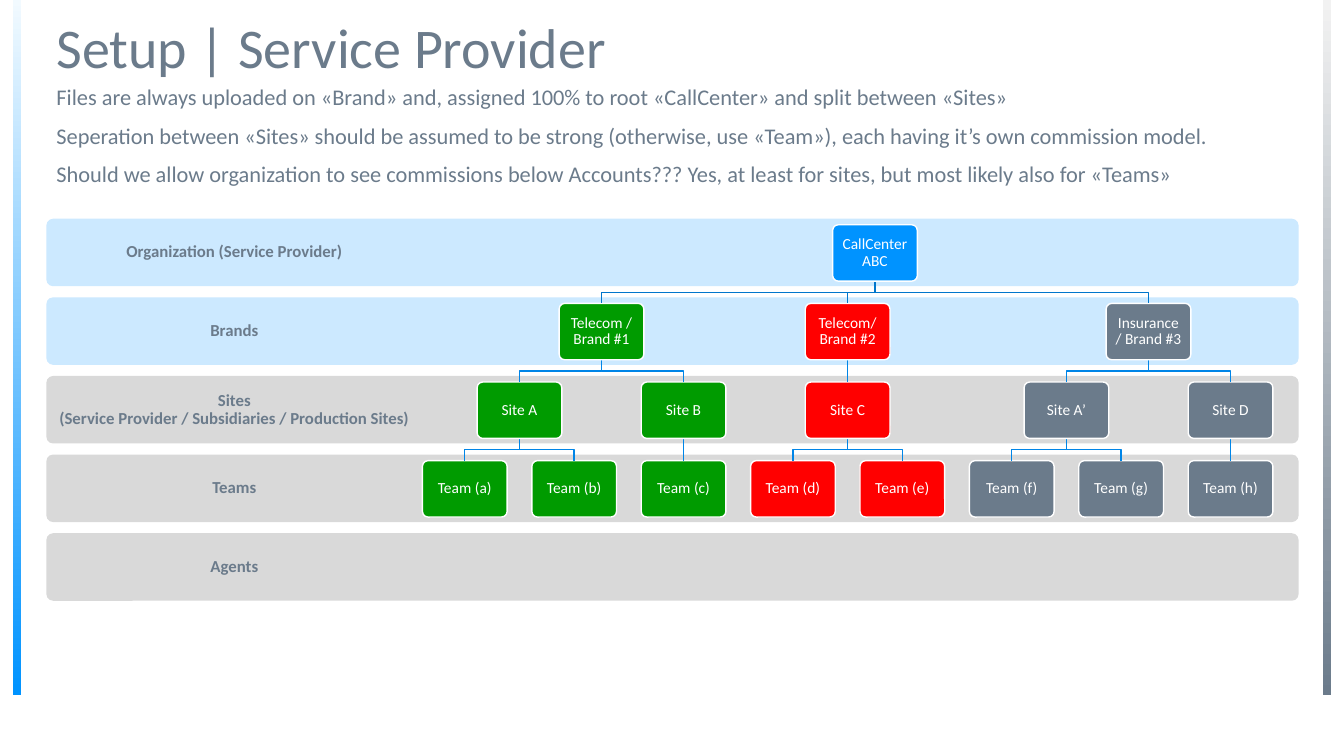
from dataclasses import dataclass

from pptx import Presentation
from pptx.dml.color import RGBColor
from pptx.enum.shapes import MSO_CONNECTOR, MSO_SHAPE
from pptx.enum.text import MSO_ANCHOR, MSO_AUTO_SIZE, PP_ALIGN
from pptx.oxml.ns import qn
from pptx.util import Inches, Pt

RECT = MSO_SHAPE.RECTANGLE
ROUNDED = MSO_SHAPE.ROUNDED_RECTANGLE
STRAIGHT = MSO_CONNECTOR.STRAIGHT
TOP, MIDDLE = MSO_ANCHOR.TOP, MSO_ANCHOR.MIDDLE
LEFT, CENTER = PP_ALIGN.LEFT, PP_ALIGN.CENTER


@dataclass(frozen=True)
class Theme:
    font: str = "Calibri"
    slate: str = "6B7B8B"
    white: str = "FFFFFF"
    blue: str = "0093FF"
    pale_blue: str = "F2FAFF"
    pale_gray: str = "F2F2F2"
    band_blue: str = "CCE9FF"
    band_gray: str = "D9D9D9"
    green: str = "009B00"
    red: str = "FF0000"
    root_link: str = "0076CC"
    link: str = "0085E7"
    title_size: int = 40
    body_size: int = 16
    band_size: int = 12
    node_size: int = 11


THEME = Theme()

# Layout in inches
MARGIN, CONTENT_W = 0.46, 12.42
BAND_TOP, BAND_H, ROW_PITCH = 2.17, 0.67, 0.78
LABEL_W = 3.73
NODE_W, NODE_H, NODE_INSET = 0.84, 0.56, 0.06
FIRST_TEAM_X, TEAM_PITCH = 4.61, 1.085

TITLE = "Setup | Service Provider"
NOTES = [
    "Files are always uploaded on «Brand» and, assigned 100% to root «CallCenter» and split between «Sites»",
    "Seperation between «Sites» should be assumed to be strong (otherwise, use «Team»), "
    "each having it’s own commission model.",
    "Should we allow organization to see commissions below Accounts??? "
    "Yes, at least for sites, but most likely also for «Teams»",
]
BANDS = [
    ("Organization (Service Provider)", THEME.band_blue),
    ("Brands", THEME.band_blue),
    ("Sites\v(Service Provider / Subsidiaries / Production Sites)", THEME.band_gray),
    ("Teams", THEME.band_gray),
    ("Agents", THEME.band_gray),
]
# Each unit is (name, colour, children)
ORGANIZATION = ("CallCenter ABC", THEME.blue, [
    ("Telecom / Brand #1", THEME.green, [
        ("Site A", THEME.green, [("Team (a)", THEME.green, []), ("Team (b)", THEME.green, [])]),
        ("Site B", THEME.green, [("Team (c)", THEME.green, [])]),
    ]),
    ("Telecom/ Brand #2", THEME.red, [
        ("Site C", THEME.red, [("Team (d)", THEME.red, []), ("Team (e)", THEME.red, [])]),
    ]),
    ("Insurance / Brand #3", THEME.slate, [
        ("Site A’", THEME.slate, [("Team (f)", THEME.slate, []), ("Team (g)", THEME.slate, [])]),
        ("Site D", THEME.slate, [("Team (h)", THEME.slate, [])]),
    ]),
])


def rgb(color):
    return RGBColor.from_string(color)


def set_all(target, values):
    for name, value in values.items():
        setattr(target, name, value)


def write(shape, lines, size, color, align=CENTER, anchor=MIDDLE, inset=None, bold=False, before=0):
    frame = shape.text_frame
    frame.text = "\n".join(lines)
    set_all(frame, {"word_wrap": True, "auto_size": MSO_AUTO_SIZE.NONE, "vertical_anchor": anchor})
    if inset is not None:
        sides = ("left", "right", "top", "bottom")
        set_all(frame, {f"margin_{side}": Inches(inset) for side in sides})
    for paragraph in frame.paragraphs:
        set_all(paragraph, {"alignment": align, "line_spacing": 0.9, "space_before": Pt(before)})
        for run in paragraph.runs:
            set_all(run.font, {"name": THEME.font, "size": Pt(size), "bold": bold})
            run.font.color.rgb = rgb(color)


def place(shape, left, top, width, height):
    set_all(shape, {"left": Inches(left), "top": Inches(top),
                    "width": Inches(width), "height": Inches(height)})


def add_box(slide, kind, left, top, width, height, fill=None, outline=None):
    box = slide.shapes.add_shape(kind, Inches(left), Inches(top), Inches(width), Inches(height))
    box.shadow.inherit = False
    if kind == ROUNDED:
        box.adjustments[0] = 0.1
    if fill:
        box.fill.solid()
        box.fill.fore_color.rgb = rgb(fill)
    if outline:
        set_line(box, outline)
    else:
        box.line.fill.background()
    return box


def set_line(shape, color):
    shape.line.color.rgb = rgb(color)
    shape.line.width = Pt(1)


def add_edge_bar(slide, left, top_color, bottom_color):
    bar = add_box(slide, RECT, left, 0, 0.08, 6.9)
    bar.fill.gradient()
    bar.fill.gradient_angle = 270
    for stop, color, position in zip(bar.fill.gradient_stops, (top_color, bottom_color), (0, 1)):
        stop.color.rgb = rgb(color)
        stop.position = position


def add_heading(slide):
    title, body = slide.shapes.title, slide.placeholders[1]
    place(title, MARGIN, 0.18, CONTENT_W, 0.63)
    write(title, [TITLE], THEME.title_size, THEME.slate, align=LEFT)
    place(body, MARGIN, 0.81, CONTENT_W, 0.42)
    write(body, NOTES, THEME.body_size, THEME.slate, align=LEFT, anchor=TOP, before=10)
    # Plain paragraphs without bullets
    for paragraph in body.text_frame.paragraphs:
        properties = paragraph._p.get_or_add_pPr()
        properties.set("marL", "0")
        properties.set("indent", "0")
        properties.append(properties.makeelement(qn("a:buNone"), {}))


def add_band(slide, row, label, color):
    top = BAND_TOP + row * ROW_PITCH
    add_box(slide, ROUNDED, MARGIN, top, CONTENT_W, BAND_H, color)
    caption = slide.shapes.add_textbox(Inches(MARGIN), Inches(top), Inches(LABEL_W), Inches(BAND_H))
    write(caption, [label], THEME.band_size, THEME.slate, inset=0.09, bold=True)


def node_top(level):
    return BAND_TOP + NODE_INSET + level * ROW_PITCH


def add_link(slide, parent_x, child_x, level):
    start, end = node_top(level) + NODE_H, node_top(level + 1)
    middle = (start + end) / 2
    if abs(parent_x - child_x) < 0.01:
        link = slide.shapes.add_connector(
            STRAIGHT, Inches(parent_x), Inches(start), Inches(parent_x), Inches(end))
        properties = link._element.spPr
        properties.append(properties.makeelement(qn("a:effectLst"), {}))
    else:
        outline = slide.shapes.build_freeform(Inches(parent_x), Inches(start))
        corners = [(parent_x, middle), (child_x, middle), (child_x, end)]
        outline.add_line_segments([(Inches(x), Inches(y)) for x, y in corners], close=False)
        link = outline.convert_to_shape()
        link.fill.background()
        link.shadow.inherit = False
    set_line(link, THEME.link if level else THEME.root_link)


def add_unit(slide, unit, team_xs, level=0):
    """Draw a unit with everything below it and return its centre."""
    name, color, children = unit
    child_xs = [add_unit(slide, child, team_xs, level + 1) for child in children]
    # A parent sits midway between its outer children
    center = (child_xs[0] + child_xs[-1]) / 2 if child_xs else next(team_xs)
    for child_x in child_xs:
        add_link(slide, center, child_x, level)
    node = add_box(slide, ROUNDED, center - NODE_W / 2, node_top(level), NODE_W, NODE_H,
                   color, THEME.white)
    write(node, [name], THEME.node_size, THEME.white, inset=0.07)
    return center


def main():
    presentation = Presentation()
    set_all(presentation, {"slide_width": Inches(13.33), "slide_height": Inches(7.5)})
    slide = presentation.slides.add_slide(presentation.slide_layouts[1])

    # Edge bars and heading
    add_edge_bar(slide, 0.13, THEME.pale_blue, THEME.blue)
    add_edge_bar(slide, 13.12, THEME.pale_gray, THEME.slate)
    add_heading(slide)

    # Level bands with the organization tree on top
    for row, (label, color) in enumerate(BANDS):
        add_band(slide, row, label, color)
    team_xs = (FIRST_TEAM_X + index * TEAM_PITCH for index in range(8))
    add_unit(slide, ORGANIZATION, team_xs)

    presentation.save("out.pptx")


if __name__ == "__main__":
    main()
